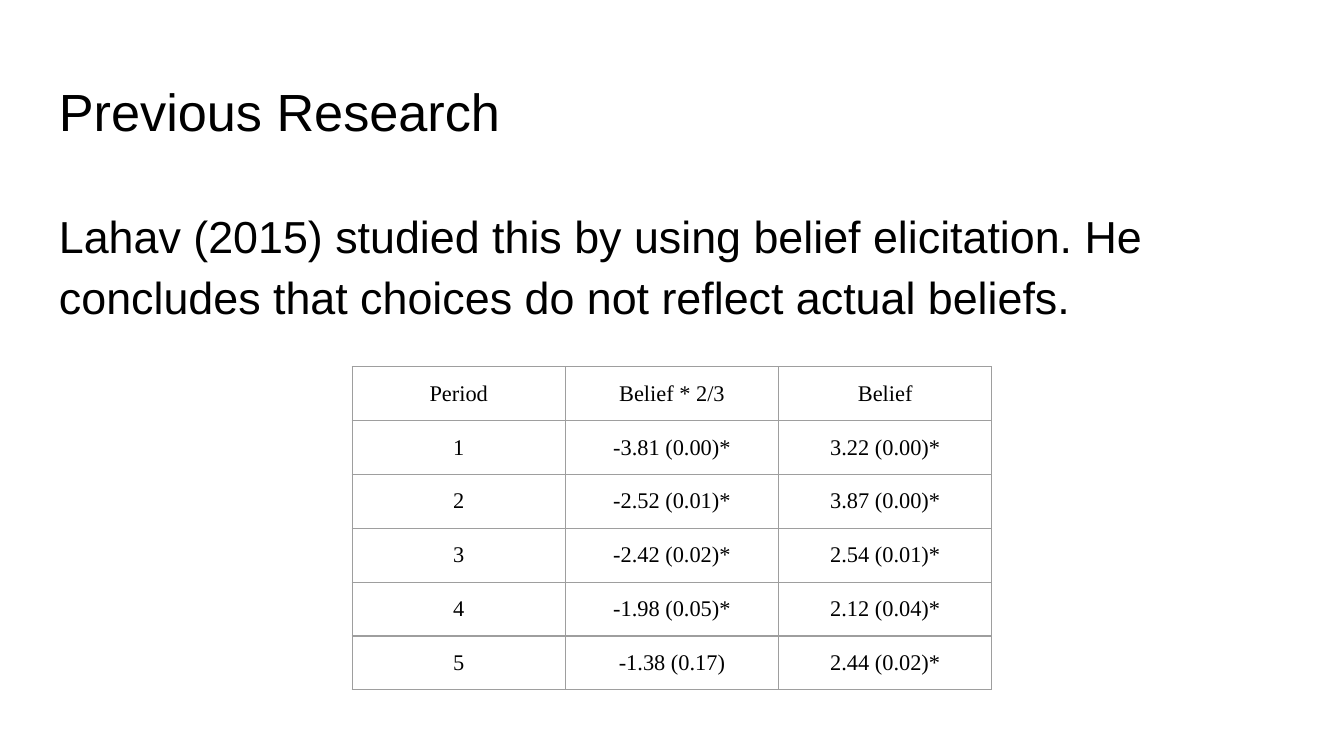
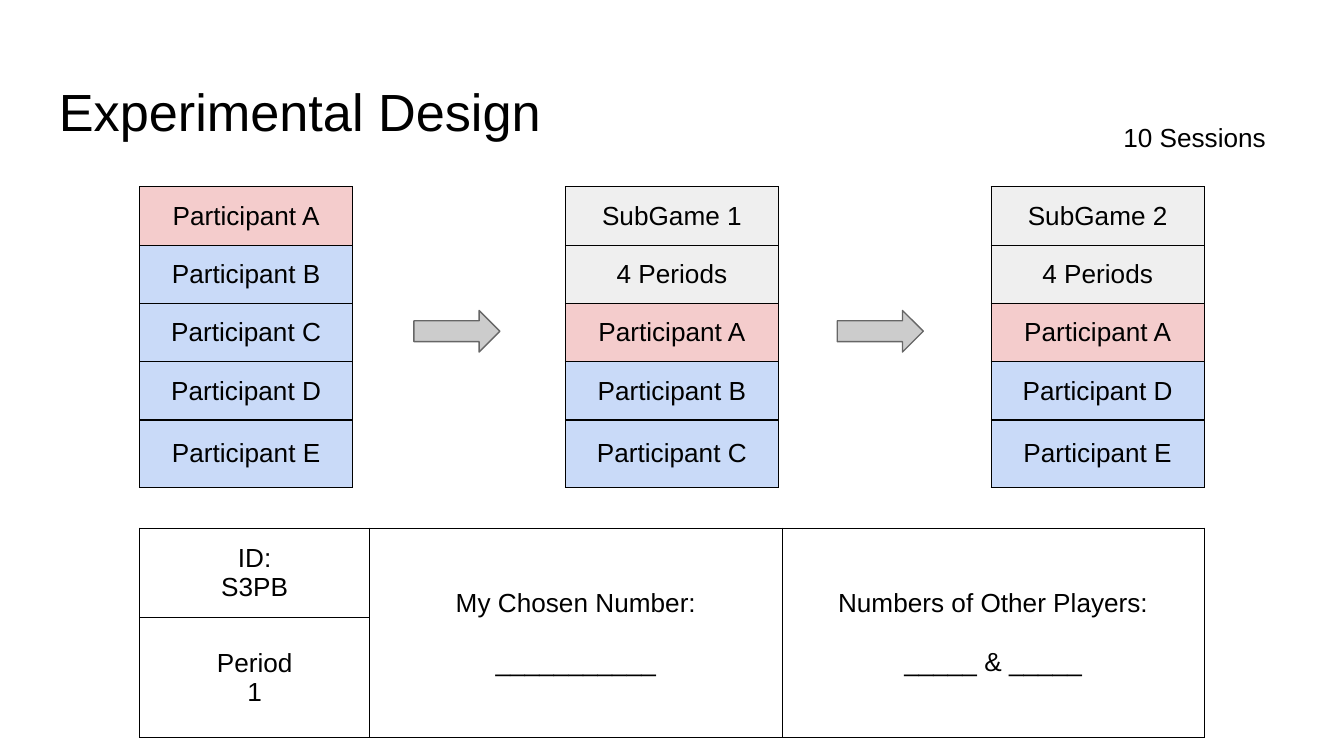
from dataclasses import dataclass

from lxml.etree import SubElement
from pptx import Presentation
from pptx.dml.color import RGBColor
from pptx.enum.shapes import MSO_SHAPE
from pptx.enum.text import MSO_ANCHOR, PP_ALIGN
from pptx.oxml.ns import qn
from pptx.slide import Slide
from pptx.table import _Cell
from pptx.text.text import TextFrame
from pptx.util import Inches, Pt

COLORS = {
    "ink": "000000",
    "grid": "9E9E9E",
    "leader": "F4CCCC",
    "member": "C9DAF8",
    "heading": "EFEFEF",
    "arrow": "CCCCCC",
    "arrow_edge": "666666",
}
SANS = "Arial"
SERIF = "Times New Roman"
SLIDE_WIDTH = 10
SLIDE_HEIGHT = SLIDE_WIDTH * 9 / 16
INSET = 0.1
MARGIN = 0.34
CONTENT_WIDTH = 9.32
CONTENT_TOP = 1.39
FRAME_SIDE = 3.28
RESULTS_WIDTH = 4.76
DESIGN_LEFT = 1.04
DESIGN_WIDTH = 7.92
ARROW_LEFT = 3.08
ARROW_PITCH = 3.15


@dataclass(frozen=True)
class Entry:
    """A table cell: its lines, fill colour, row span and bordered sides."""

    lines: tuple[str, ...] = ()
    fill: str | None = None
    rows: int = 1
    sides: str = "LRTB"
    gap: float = 0


@dataclass(frozen=True)
class Column:
    """A table column: its width and the entries stacked in it."""

    width: float
    entries: list[Entry]


@dataclass(frozen=True)
class TableStyle:
    """The text format and border colour of a table."""

    border: str
    size: float
    font: str = SANS


def rgb(name: str) -> RGBColor:
    """Return the named colour."""
    return RGBColor.from_string(COLORS[name])


def write(frame: TextFrame, *lines: str, size: float, font: str = SANS,
          color: str = "ink", align: PP_ALIGN = PP_ALIGN.LEFT,
          spacing: float | None = None, after: float = 0,
          gap: float = 0) -> None:
    """Write one formatted paragraph per line, with a gap between them."""
    for index, line in enumerate(lines):
        paragraph = frame.add_paragraph() if index else frame.paragraphs[0]
        paragraph.alignment = align
        paragraph.line_spacing = spacing
        paragraph.space_before = Pt(gap if index else 0)
        paragraph.space_after = Pt(after)
        paragraph.text = line.replace("\n", "\v")
        for line_break in paragraph._p.findall(qn("a:br")):
            SubElement(line_break, qn("a:rPr"), sz=str(size * 100))
        for run in paragraph.runs:
            run.font.size = Pt(size)
            run.font.name = font
            run.font.color.rgb = rgb(color)


def add_text(slide: Slide, text: str, left: float, top: float, width: float,
             height: float, **text_format) -> None:
    """Add a wrapping text box."""
    frame = slide.shapes.add_textbox(
        Inches(left), Inches(top), Inches(width), Inches(height)).text_frame
    frame.word_wrap = True
    frame.margin_left = frame.margin_right = Inches(INSET)
    frame.margin_top = frame.margin_bottom = Inches(INSET)
    write(frame, text, **text_format)


def draw_borders(cell: _Cell, sides: str, color: str) -> None:
    """Draw the given sides of a cell and clear the others."""
    properties = cell._tc.get_or_add_tcPr()
    for side in "LRTB":
        line = SubElement(properties, qn(f"a:ln{side}"), w=str(Pt(0.75)))
        if side in sides:
            paint = SubElement(line, qn("a:solidFill"))
            SubElement(paint, qn("a:srgbClr"), val=COLORS[color])
        else:
            SubElement(line, qn("a:noFill"))


def fill_cell(cell: _Cell, entry: Entry, style: TableStyle) -> None:
    """Format a cell and write its entry."""
    cell.margin_left = cell.margin_right = Inches(INSET)
    cell.margin_top = cell.margin_bottom = Inches(INSET)
    cell.vertical_anchor = MSO_ANCHOR.MIDDLE
    if entry.fill:
        cell.fill.solid()
        cell.fill.fore_color.rgb = rgb(entry.fill)
    else:
        cell.fill.background()
    write(cell.text_frame, *entry.lines, size=style.size, font=style.font,
          align=PP_ALIGN.CENTER, gap=entry.gap)


def add_grid(slide: Slide, columns: list[Column], left: float, top: float,
             row_height: float, style: TableStyle) -> None:
    """Add a table made of columns of entries."""
    row_count = sum(entry.rows for entry in columns[0].entries)
    holder = slide.shapes.add_table(
        row_count, len(columns), Inches(left), Inches(top),
        Inches(FRAME_SIDE), Inches(FRAME_SIDE))
    table = holder.table
    table.first_row = table.horz_banding = False
    for row in table.rows:
        row.height = Inches(row_height)
    for index, column in enumerate(columns):
        table.columns[index].width = Inches(column.width)
        start = 0
        for entry in column.entries:
            cells = [table.cell(start + offset, index)
                     for offset in range(entry.rows)]
            for cell in cells:
                draw_borders(cell, entry.sides, style.border)
            if entry.rows > 1:
                cells[0].merge(cells[-1])
            fill_cell(cells[0], entry, style)
            start += entry.rows
    holder.width = holder.height = Inches(FRAME_SIDE)


def add_arrow(slide: Slide, left: float) -> None:
    """Add an arrow between two stages."""
    arrow = slide.shapes.add_shape(
        MSO_SHAPE.RIGHT_ARROW, Inches(left), Inches(2.31), Inches(0.64),
        Inches(0.31))
    arrow.shadow.inherit = False
    arrow.fill.solid()
    arrow.fill.fore_color.rgb = rgb("arrow")
    arrow.line.color.rgb = rgb("arrow_edge")
    arrow.line.width = Pt(0.75)


def add_titled_slide(deck: Presentation, title: str) -> Slide:
    """Add a blank slide with the shared title."""
    slide = deck.slides.add_slide(deck.slide_layouts[6])
    add_text(slide, title, MARGIN, 0.49, CONTENT_WIDTH, 0.63, size=28)
    return slide


def participants(letters: str) -> list[Entry]:
    """Return an entry per participant, with A as the leader."""
    return [Entry((f"Participant {letter}",),
                  "leader" if letter == "A" else "member")
            for letter in letters]


def subgame(number: int, letters: str) -> list[Entry]:
    """Return the entries of one subgame."""
    headings = (f"SubGame {number}", "4 Periods")
    return ([Entry((heading,), "heading") for heading in headings]
            + participants(letters))


def add_research_slide(deck: Presentation) -> None:
    """Add the slide on previous research."""
    slide = add_titled_slide(deck, "Previous Research")
    add_text(slide, "Lahav (2015) studied this by using belief elicitation. "
             "He concludes that choices do not reflect actual beliefs.",
             MARGIN, CONTENT_TOP, CONTENT_WIDTH, 3.74, size=24,
             spacing=1.15, after=16)
    results = [
        ("Period", "1", "2", "3", "4", "5"),
        ("Belief * 2/3", "-3.81 (0.00)*", "-2.52 (0.01)*", "-2.42 (0.02)*",
         "-1.98 (0.05)*", "-1.38 (0.17)"),
        ("Belief", "3.22 (0.00)*", "3.87 (0.00)*", "2.54 (0.01)*",
         "2.12 (0.04)*", "2.44 (0.02)*"),
    ]
    columns = [Column(RESULTS_WIDTH / len(results),
                      [Entry((value,)) for value in values])
               for values in results]
    add_grid(slide, columns, 2.62, 2.73, 0.35, TableStyle("grid", 12, SERIF))


def add_design_slide(deck: Presentation) -> None:
    """Add the slide on the experimental design."""
    slide = add_titled_slide(deck, "Experimental Design")
    style = TableStyle("ink", 14)
    passage = [Entry(rows=5, sides="LR")]
    stages = [participants("ABCDE"), passage, subgame(1, "ABC"), passage,
              subgame(2, "ADE")]
    add_grid(slide, [Column(DESIGN_WIDTH / len(stages), stage)
                     for stage in stages],
             DESIGN_LEFT, CONTENT_TOP, 0.42, style)
    for step in range(2):
        add_arrow(slide, ARROW_LEFT + step * ARROW_PITCH)
    answer_sheet = [
        Column(1.71, [Entry(("ID:", "S3PB")), Entry(("Period\n1",))]),
        Column(3.07, [Entry(("My Chosen Number:", "_" * 11), rows=2, gap=16)]),
        Column(3.14, [Entry(("Numbers of Other Players:", "_____ & _____"),
                            rows=2, gap=16)]),
    ]
    add_grid(slide, answer_sheet, DESIGN_LEFT, 3.93, 0.65, style)
    add_text(slide, "10 Sessions", 8.26, 0.8, 1.4, 0.37, size=14)


def main() -> None:
    """Build and save the presentation."""
    deck = Presentation()
    deck.slide_width = Inches(SLIDE_WIDTH)
    deck.slide_height = Inches(SLIDE_HEIGHT)
    add_research_slide(deck)
    add_design_slide(deck)
    deck.save("out.pptx")


main()
